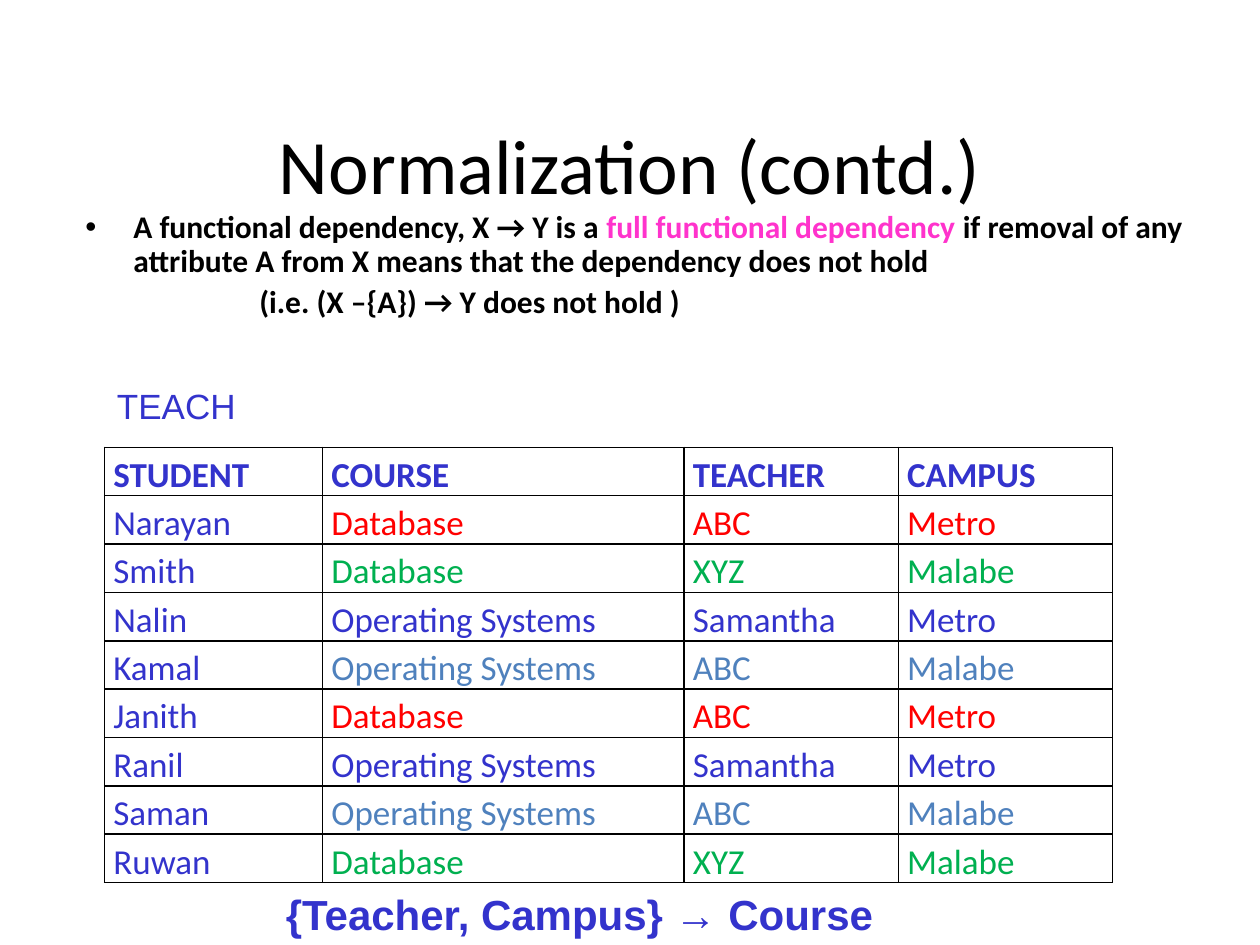
from lxml import etree
from pptx import Presentation
from pptx.dml.color import RGBColor
from pptx.enum.text import MSO_ANCHOR, PP_ALIGN
from pptx.oxml.ns import qn
from pptx.util import Inches, Pt

MIDDLE, TOP = MSO_ANCHOR.MIDDLE, MSO_ANCHOR.TOP
LEFT, CENTER = PP_ALIGN.LEFT, PP_ALIGN.CENTER
BLACK = RGBColor(0x00, 0x00, 0x00)
INDIGO = RGBColor(0x33, 0x33, 0xCC)
PINK = RGBColor(0xFF, 0x33, 0xCC)
RED = RGBColor(0xFF, 0x00, 0x00)
GREEN = RGBColor(0x00, 0xB0, 0x50)
BLUE = RGBColor(0x4F, 0x81, 0xBD)

TITLE = "Normalization (contd.)"
DEFINITION = [
    ("A functional dependency, X → Y is a ", BLACK),
    ("full functional dependency", PINK),
    (" if removal of any attribute A from X means that the dependency does not hold", BLACK),
]
EXAMPLE = "(i.e. (X –{A}) → Y does not hold )"
TABLE_NAME = "TEACH"
DEPENDENCY = "{Teacher, Campus} → Course"
HEADER = ("STUDENT", "COURSE", "TEACHER", "CAMPUS")
ROWS = [
    ("Narayan", "Database", "ABC", "Metro"),
    ("Smith", "Database", "XYZ", "Malabe"),
    ("Nalin", "Operating Systems", "Samantha", "Metro"),
    ("Kamal", "Operating Systems", "ABC", "Malabe"),
    ("Janith", "Database", "ABC", "Metro"),
    ("Ranil", "Operating Systems", "Samantha", "Metro"),
    ("Saman", "Operating Systems", "ABC", "Malabe"),
    ("Ruwan", "Database", "XYZ", "Malabe"),
]
GROUP_COLORS = {
    ("ABC", "Metro"): RED,
    ("XYZ", "Malabe"): GREEN,
    ("Samantha", "Metro"): INDIGO,
    ("ABC", "Malabe"): BLUE,
}
COL_WIDTHS = (1.73, 2.87, 1.7, 1.7)
TABLE_BOX = (0.83, 3.55, sum(COL_WIDTHS), 3.45)


def add_run(p, text, size, color, font="Calibri", bold=False):
    r = p.add_run()
    r.text = text
    r.font.name, r.font.size, r.font.bold = font, Pt(size), bold
    r.font.color.rgb = color


def add_text_box(s, box, anchor=TOP, wrap=True):
    tf = s.shapes.add_textbox(*map(Inches, box)).text_frame
    tf.word_wrap = wrap
    tf.vertical_anchor = anchor
    return tf


def indent(p, left, first=0, bullet=None):
    pPr = p._p.get_or_add_pPr()
    pPr.set("marL", str(Inches(left)))
    pPr.set("indent", str(Inches(first)))
    if bullet:
        etree.SubElement(pPr, qn("a:buFont")).set("typeface", "Arial")
        etree.SubElement(pPr, qn("a:buChar")).set("char", bullet)


def add_borders(cell):
    tcPr = cell._tc.get_or_add_tcPr()
    for i, side in enumerate(("lnL", "lnR", "lnT", "lnB")):
        ln = etree.Element(qn(f"a:{side}"), w=str(Pt(1)))
        fill = etree.SubElement(ln, qn("a:solidFill"))
        etree.SubElement(fill, qn("a:srgbClr")).set("val", str(BLACK))
        tcPr.insert(i, ln)


def fill_cell(cell, text, color, bold):
    cell.fill.background()
    cell.margin_left = cell.margin_right = Inches(0.07)
    cell.margin_top = cell.margin_bottom = 0
    p = cell.text_frame.paragraphs[0]
    p.line_spacing = 1.15
    add_run(p, text, 20, color, bold=bold)
    add_borders(cell)


def add_teach_table(s):
    rows = [HEADER] + ROWS
    table = s.shapes.add_table(len(rows), len(HEADER), *map(Inches, TABLE_BOX)).table
    table.first_row = table.horz_banding = False
    for col, width in zip(table.columns, COL_WIDTHS):
        col.width = Inches(width)
    for i, row in enumerate(rows):
        table.rows[i].height = Inches(TABLE_BOX[3] / len(rows))
        group = GROUP_COLORS.get(row[2:], INDIGO)
        for j, text in enumerate(row):
            fill_cell(table.cell(i, j), text, group if j else INDIGO, i == 0)


def main():
    prs = Presentation()
    prs.slide_width, prs.slide_height = Inches(10), Inches(7.5)
    s = prs.slides.add_slide(prs.slide_layouts[6])

    p = add_text_box(s, (0.5, 0.67, 9, 1.25), MIDDLE).paragraphs[0]
    p.alignment = CENTER
    add_run(p, TITLE, 44, BLACK)

    tf = add_text_box(s, (0.58, 1.63, 8.92, 4.95))
    p = tf.paragraphs[0]
    p.line_spacing = 0.9
    indent(p, 0.38, -0.38, "•")
    for text, color in DEFINITION:
        add_run(p, text, 18, color, bold=True)
    p = tf.add_paragraph()
    p.line_spacing = 0.9
    p.space_before = Pt(3.6)
    indent(p, 1.38)
    add_run(p, EXAMPLE, 18, BLACK, bold=True)

    p = add_text_box(s, (0.83, 3, 1.15, 0.43), wrap=False).paragraphs[0]
    p.alignment = LEFT
    add_run(p, TABLE_NAME, 20, INDIGO, "Arial")

    add_teach_table(s)

    p = add_text_box(s, (2.17, 7, 5.17, 0.5)).paragraphs[0]
    add_run(p, DEPENDENCY, 24, INDIGO, "Arial", True)

    prs.save("out.pptx")


if __name__ == "__main__":
    main()
